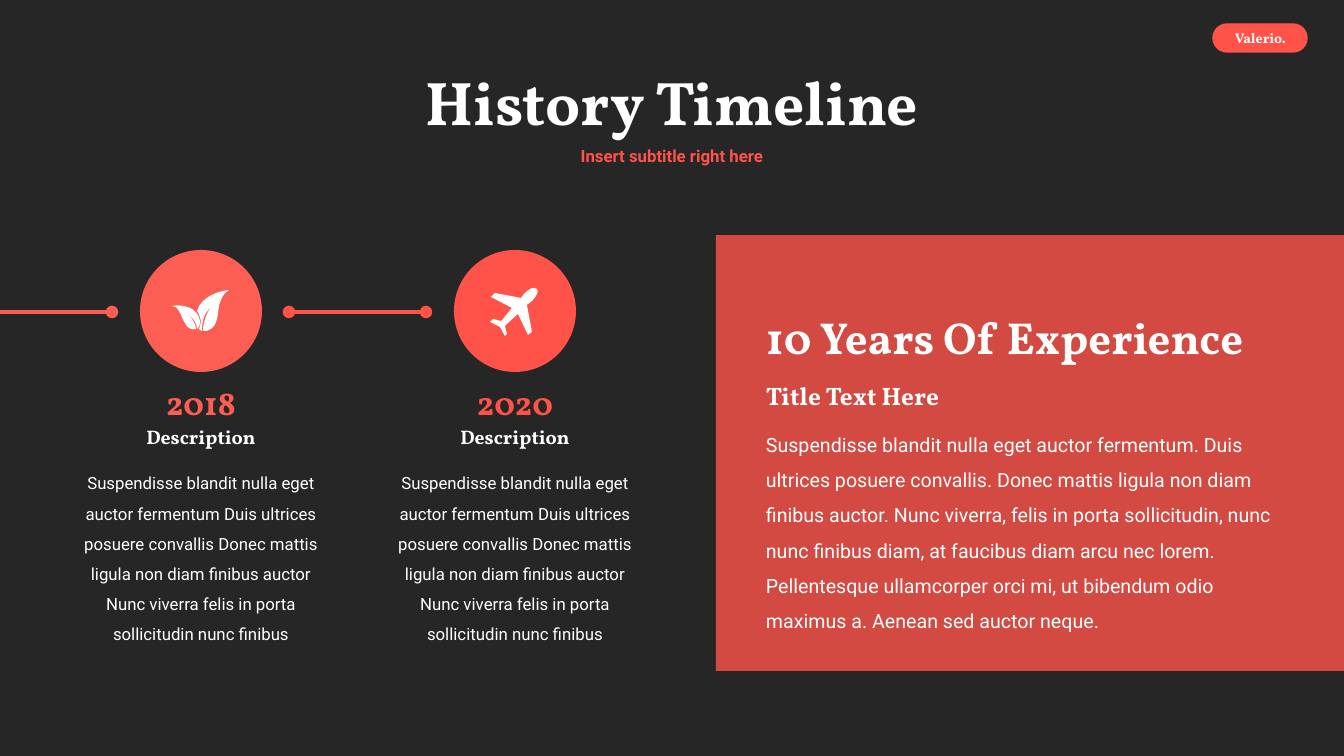
"""Build the History Timeline slide."""

from dataclasses import dataclass

from lxml import etree
from pptx import Presentation
from pptx.dml.color import RGBColor
from pptx.enum.shapes import MSO_CONNECTOR, MSO_SHAPE
from pptx.enum.text import MSO_ANCHOR, PP_ALIGN
from pptx.oxml.ns import qn
from pptx.shapes.autoshape import Shape
from pptx.shapes.shapetree import GroupShapes, SlideShapes
from pptx.slide import Slide
from pptx.util import Emu, Pt

RECTANGLE = MSO_SHAPE.RECTANGLE
ROUNDED = MSO_SHAPE.ROUNDED_RECTANGLE
OVAL = MSO_SHAPE.OVAL
STRAIGHT = MSO_CONNECTOR.STRAIGHT
TOP, MIDDLE = MSO_ANCHOR.TOP, MSO_ANCHOR.MIDDLE
LEFT, CENTER = PP_ALIGN.LEFT, PP_ALIGN.CENTER

EMU_PER_PX = 914400 / 100.8
COLUMN_PITCH = 314
COLORS = {"dark": "262626", "coral": "FF5349", "salmon": "FD5E53", "white": "FFFFFF"}
FONTS = {"heading": "Vollkorn", "body": "Roboto"}

COLUMN_TEXT = (
    "Suspendisse blandit nulla eget auctor fermentum Duis ultrices posuere convallis "
    "Donec mattis ligula non diam finibus auctor Nunc viverra felis in porta "
    "sollicitudin nunc finibus"
)
PANEL_TEXT = (
    "Suspendisse blandit nulla eget auctor fermentum. Duis ultrices posuere convallis. "
    "Donec mattis ligula non diam finibus auctor. Nunc viverra, felis in porta "
    "sollicitudin, nunc nunc finibus diam, at faucibus diam arcu nec lorem. "
    "Pellentesque ullamcorper orci mi, ut bibendum odio maximus a. Aenean sed auctor neque."
)

Box = tuple[int, int, int, int]
Segment = tuple[int, ...]


@dataclass(frozen=True)
class Label:
    text: str
    box: Box
    size: int
    font: str = "heading"
    color: str = "white"
    bold: bool = True
    alignment: PP_ALIGN = CENTER
    anchor: MSO_ANCHOR = TOP
    line_spacing: float = 1.0


@dataclass(frozen=True)
class Outline:
    start: tuple[int, int]
    segments: list[Segment]


@dataclass(frozen=True)
class Milestone:
    year: str
    color: str
    icon: list[Outline]


SMALL_LEAF = Outline((172, 306), [
    (176, 307, 178, 308, 179, 311), (182, 316, 182, 319, 185, 323),
    (187, 329, 193, 330, 196, 329), (196, 324, 192, 318, 187, 313),
    (193, 318, 197, 323, 197, 329), (197, 329, 201, 326, 200, 321),
    (198, 307, 182, 304, 172, 306),
])
LARGE_LEAF = Outline((197, 311), [
    (199, 313, 200, 317, 201, 321), (201, 324, 200, 326, 199, 329),
    (200, 330, 202, 331, 202, 331), (202, 321, 204, 313, 212, 306),
    (206, 313, 203, 324, 203, 331), (208, 332, 215, 328, 217, 319),
    (219, 311, 218, 306, 221, 300), (223, 295, 225, 293, 229, 290),
    (218, 291, 201, 297, 197, 311),
])
AIRPLANE = Outline((537, 289), [
    (534, 286, 529, 289, 525, 293), (521, 298), (495, 293), (491, 297), (512, 308),
    (503, 319), (502, 320, 502, 321, 501, 321), (493, 319), (490, 322), (500, 327),
    (505, 336), (507, 334), (505, 326), (506, 325, 507, 324, 508, 323), (518, 314),
    (528, 335), (532, 332), (527, 305), (532, 301), (537, 296, 539, 291, 537, 289),
])
MILESTONES = [
    Milestone("2018", "salmon", [SMALL_LEAF, LARGE_LEAF]),
    Milestone("2020", "coral", [AIRPLANE]),
]
HEADER_LABELS = [
    Label("Valerio.", (1222, 25, 77, 27), 10),
    Label("History Timeline", (294, 53, 756, 104), 44, anchor=MIDDLE, line_spacing=0.9),
    Label("Insert subtitle right here", (294, 138, 756, 38), 12, "body", "coral",
          anchor=MIDDLE, line_spacing=0.9),
]
PANEL_LABELS = [
    Label(PANEL_TEXT, (756, 416, 548, 184), 14, "body", bold=False, alignment=LEFT,
          line_spacing=1.5),
    Label("Title Text Here", (756, 375, 245, 40), 18, alignment=LEFT),
    Label("10 Years Of Experience", (756, 305, 548, 65), 32, alignment=LEFT),
]


def px(length: float) -> Emu:
    return Emu(round(length * EMU_PER_PX))


def rgb(name: str) -> RGBColor:
    return RGBColor.from_string(COLORS[name])


def apply_format(target: object, values: dict[str, object]) -> None:
    for name, value in values.items():
        setattr(target, name, value)


def paint(shape: Shape, color: str) -> None:
    shape.shadow.inherit = False
    shape.fill.solid()
    shape.fill.fore_color.rgb = rgb(color)
    shape.line.fill.background()


def add_block(slide: Slide, kind: MSO_SHAPE, box: Box, color: str) -> Shape:
    shape = slide.shapes.add_shape(kind, *map(px, box))
    paint(shape, color)
    return shape


def add_label(slide: Slide, label: Label) -> None:
    frame = slide.shapes.add_textbox(*map(px, label.box)).text_frame
    apply_format(frame, {"word_wrap": True, "vertical_anchor": label.anchor})
    paragraph = frame.paragraphs[0]
    apply_format(paragraph, {
        "text": label.text, "alignment": label.alignment, "line_spacing": label.line_spacing,
    })
    font = paragraph.runs[0].font
    apply_format(font, {"name": FONTS[label.font], "size": Pt(label.size), "bold": label.bold})
    font.color.rgb = rgb(label.color)


def add_timeline_line(slide: Slide, left: int, color: str) -> None:
    ends = (left, 312, left + 137, 312)
    connector = slide.shapes.add_connector(STRAIGHT, *map(px, ends))
    connector.line.width = Pt(3)
    connector.line.color.rgb = rgb(color)
    line = connector.line._get_or_add_ln()
    for end in ("a:headEnd", "a:tailEnd"):
        etree.SubElement(line, qn(end), type="oval")
    etree.SubElement(connector._element.spPr, qn("a:effectLst"))


def add_outline(shapes: SlideShapes | GroupShapes, outline: Outline) -> None:
    builder = shapes.build_freeform(*map(px, outline.start), scale=1.0)
    builder.add_line_segments([tuple(map(px, segment[-2:])) for segment in outline.segments])
    shape = builder.convert_to_shape()
    paint(shape, "white")
    edges = list(shape._element.iter(qn("a:lnTo")))
    for edge, segment in zip(edges, outline.segments):
        if len(segment) == 6:
            edge.tag = qn("a:cubicBezTo")
            for position in (0, 2):
                x, y = px(segment[position]) - shape.left, px(segment[position + 1]) - shape.top
                control = etree.Element(qn("a:pt"), x=str(x), y=str(y))
                edge.insert(position // 2, control)


def add_milestone(slide: Slide, milestone: Milestone, index: int) -> None:
    shift = index * COLUMN_PITCH
    center = 201 + shift
    add_timeline_line(slide, shift - 25, milestone.color)
    add_block(slide, OVAL, (center - 61, 250, 122, 122), milestone.color)
    for label in (
        Label(COLUMN_TEXT, (center - 133, 458, 266, 190), 12, "body", bold=False,
              line_spacing=1.5),
        Label(milestone.year, (center - 75, 377, 150, 50), 24, color=milestone.color),
        Label("Description", (center - 92, 420, 184, 34), 14),
    ):
        add_label(slide, label)
    grouped = len(milestone.icon) > 1
    shapes = slide.shapes.add_group_shape().shapes if grouped else slide.shapes
    for outline in milestone.icon:
        add_outline(shapes, outline)


def main() -> None:
    presentation = Presentation()
    apply_format(presentation, {"slide_width": px(1344), "slide_height": px(756)})
    slide = presentation.slides.add_slide(presentation.slide_layouts[6])
    slide.background.fill.solid()
    slide.background.fill.fore_color.rgb = rgb("dark")

    badge = add_block(slide, ROUNDED, (1213, 24, 94, 28), "coral")
    badge.adjustments[0] = 0.5
    badge.line.color.rgb = rgb("coral")
    badge.line.width = Pt(1)
    panel = add_block(slide, RECTANGLE, (716, 235, 628, 436), "coral")
    panel_color = panel._element.spPr.find(qn("a:solidFill"))[0]
    etree.SubElement(panel_color, qn("a:alpha"), val="80000")

    for label in HEADER_LABELS + PANEL_LABELS:
        add_label(slide, label)
    for index, milestone in enumerate(MILESTONES):
        add_milestone(slide, milestone, index)
    presentation.save("out.pptx")


if __name__ == "__main__":
    main()
